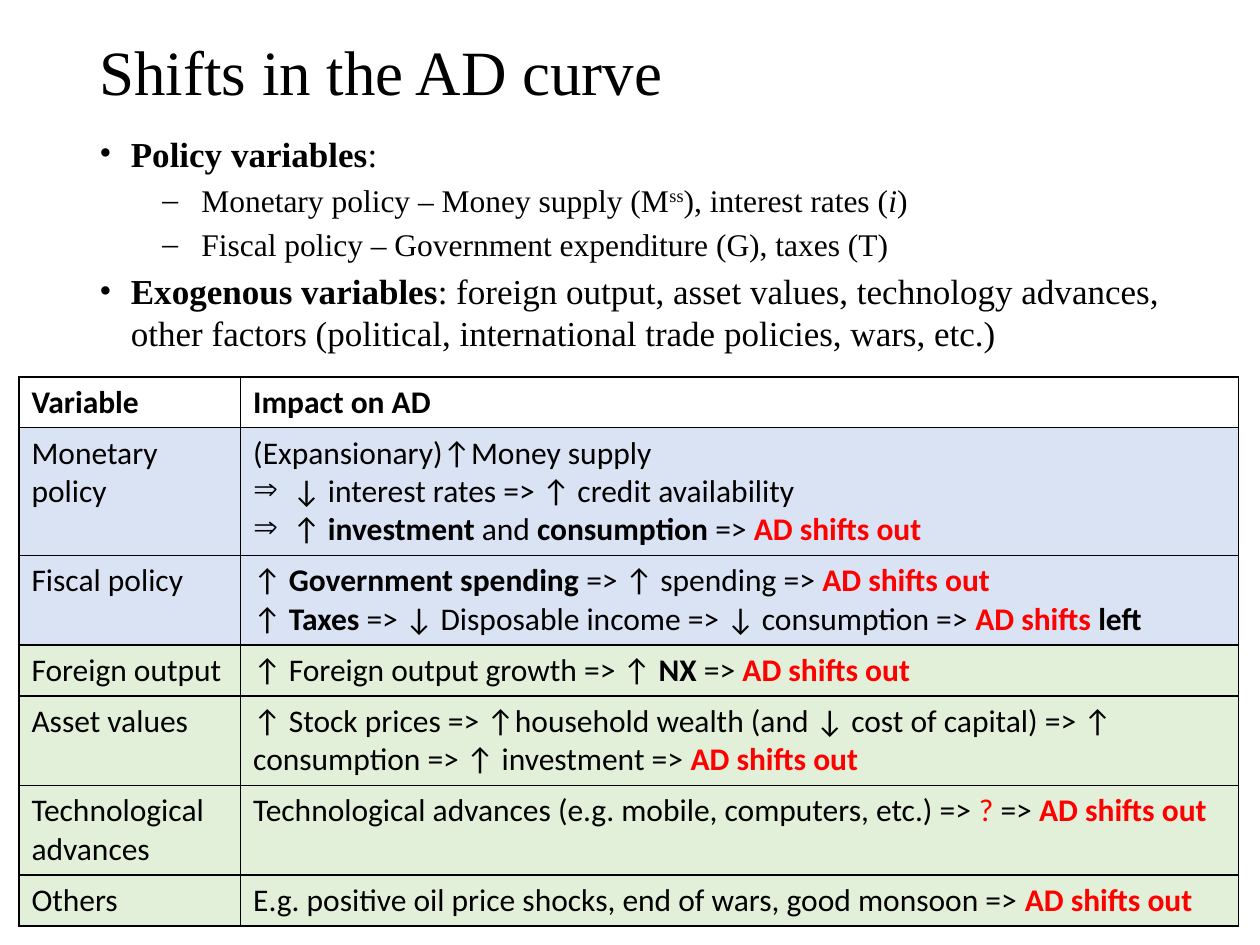
from pptx import Presentation, util as u
from pptx.dml.color import RGBColor
from pptx.enum import text
from pptx.oxml.ns import qn
from lxml import etree

SERIF, SANS = "Times New Roman", "Calibri"
BLACK, RED, BLUE, GREEN, WHITE = "000000", "FF0000", "DAE3F3", "E2F0D9", "FFFFFF"
OUT = ("AD shifts out", "br")

TITLE = [("Shifts in the AD curve", "")]
BODY = [
    (0, [("Policy variables", "b"), (":", "")]),
    (1, [("Monetary policy – Money supply (M", ""), ("ss", "^"),
         ("), interest rates (", ""), ("i", "i"), (")", "")]),
    (1, [("Fiscal policy – Government expenditure (G), taxes (T)", "")]),
    (0, [("Exogenous variables", "b"),
         (": foreign output, asset values, technology advances, other factors "
          "(political, international trade policies, wars, etc.)", "")]),
]
LEVELS = [(20, "•", 0.25, 0.25), (18, "–", 0.81, 0.31)]

HEAD = [("Variable", "Impact on AD")]
ROWS = [
    ("Monetary policy", BLUE, 3, [
        ("", [("(Expansionary)↑Money supply", "")]),
        ("⇒", [("↓ interest rates => ↑ credit availability", "")]),
        ("⇒", [("↑ ", ""), ("investment ", "b"), ("and", ""),
               (" consumption ", "b"), ("=> ", ""), OUT])]),
    ("Fiscal policy", BLUE, 2, [
        ("", [("↑ ", ""), ("Government spending", "b"), (" => ↑ spending => ", ""), OUT]),
        ("", [("↑ ", ""), ("Taxes", "b"),
              (" => ↓ Disposable income => ↓ consumption => ", ""),
              ("AD shifts ", "br"), ("left", "b")])]),
    ("Foreign output", GREEN, 1, [
        ("", [("↑ Foreign output growth => ↑ ", ""), ("NX", "b"), (" => ", ""), OUT])]),
    ("Asset values", GREEN, 2, [
        ("", [("↑ Stock prices => ↑household wealth (and ↓ cost of capital) => "
               "↑ consumption => ↑ investment => ", ""), OUT])]),
    ("Technological advances", GREEN, 2, [
        ("", [("Technological advances (e.g. mobile, computers, etc.) => ", ""),
              ("?", "r"), (" => ", ""), OUT])]),
    ("Others", GREEN, 1, [
        ("", [("E.g. positive oil price shocks, end of wars, good monsoon => ", ""), OUT])]),
]
COLS = [1.76, 7.92]
LINE, PAD = 0.305, 0.1


def rgb(color):
    return RGBColor.from_string(color)


def write(p, runs, size, font):
    for words, style in runs:
        r = p.add_run()
        r.text = words
        f = r.font
        f.size, f.name = u.Pt(size), font
        f.bold, f.italic = "b" in style, "i" in style
        f.color.rgb = rgb(RED if "r" in style else BLACK)
        if "^" in style:
            r._r.get_or_add_rPr().set("baseline", "30000")


def bullet(p, char, left, hang, font):
    pr = p._p.get_or_add_pPr()
    pr.set("marL", str(u.Inches(left)))
    pr.set("indent", str(-u.Inches(hang)))
    etree.SubElement(pr, qn("a:buFont")).set("typeface", font)
    etree.SubElement(pr, qn("a:buChar")).set("char", char)


def paragraphs(tf, count):
    return [tf.paragraphs[0]] + [tf.add_paragraph() for _ in range(count - 1)]


def text_box(s, *box):
    tf = s.shapes.add_textbox(*map(u.Inches, box)).text_frame
    tf.word_wrap = True
    return tf


def border(cell):
    pr = cell._tc.get_or_add_tcPr()
    for i, side in enumerate(("a:lnL", "a:lnR", "a:lnT", "a:lnB")):
        ln = etree.Element(qn(side), w=str(u.Pt(1)))
        fill = etree.SubElement(ln, qn("a:solidFill"))
        etree.SubElement(fill, qn("a:srgbClr")).set("val", BLACK)
        pr.insert(i, ln)


def fill_cell(cell, color, paras):
    cell.fill.solid()
    cell.fill.fore_color.rgb = rgb(color)
    border(cell)
    for p, (char, runs) in zip(paragraphs(cell.text_frame, len(paras)), paras):
        if char:
            bullet(p, char, 0.31, 0.31, "Symbol")
        write(p, runs, 18, SANS)


def main():
    prs = Presentation()
    prs.slide_width, prs.slide_height = u.Inches(10), u.Inches(7.5)
    s = prs.slides.add_slide(prs.slide_layouts[6])

    tf = text_box(s, 0.69, 0.27, 8.62, 0.65)
    tf.vertical_anchor = text.MSO_ANCHOR.MIDDLE
    tf.paragraphs[0].line_spacing = 0.9
    write(tf.paragraphs[0], TITLE, 36, SERIF)

    tf = text_box(s, 0.69, 1, 8.62, 2.11)
    for p, (level, runs) in zip(paragraphs(tf, len(BODY)), BODY):
        size, char, left, hang = LEVELS[level]
        p.level = level
        p.space_before = u.Pt(size * 0.2)
        bullet(p, char, left, hang, SERIF)
        write(p, runs, size, SERIF)

    table = [(WHITE, 1, [("", [(a, "b")])], [("", [(b, "b")])]) for a, b in HEAD]
    table += [(color, lines, [("", [(name, "")])], paras)
              for name, color, lines, paras in ROWS]
    heights = [lines * LINE + PAD for _, lines, _, _ in table]
    tbl = s.shapes.add_table(len(table), len(COLS), *map(
        u.Inches, (0.15, 2.99, sum(COLS), sum(heights)))).table
    for col, width in zip(tbl.columns, COLS):
        col.width = u.Inches(width)
    for i, (color, _, *cells) in enumerate(table):
        tbl.rows[i].height = u.Inches(heights[i])
        for j, paras in enumerate(cells):
            fill_cell(tbl.cell(i, j), color, paras)

    prs.save("out.pptx")


if __name__ == "__main__":
    main()
